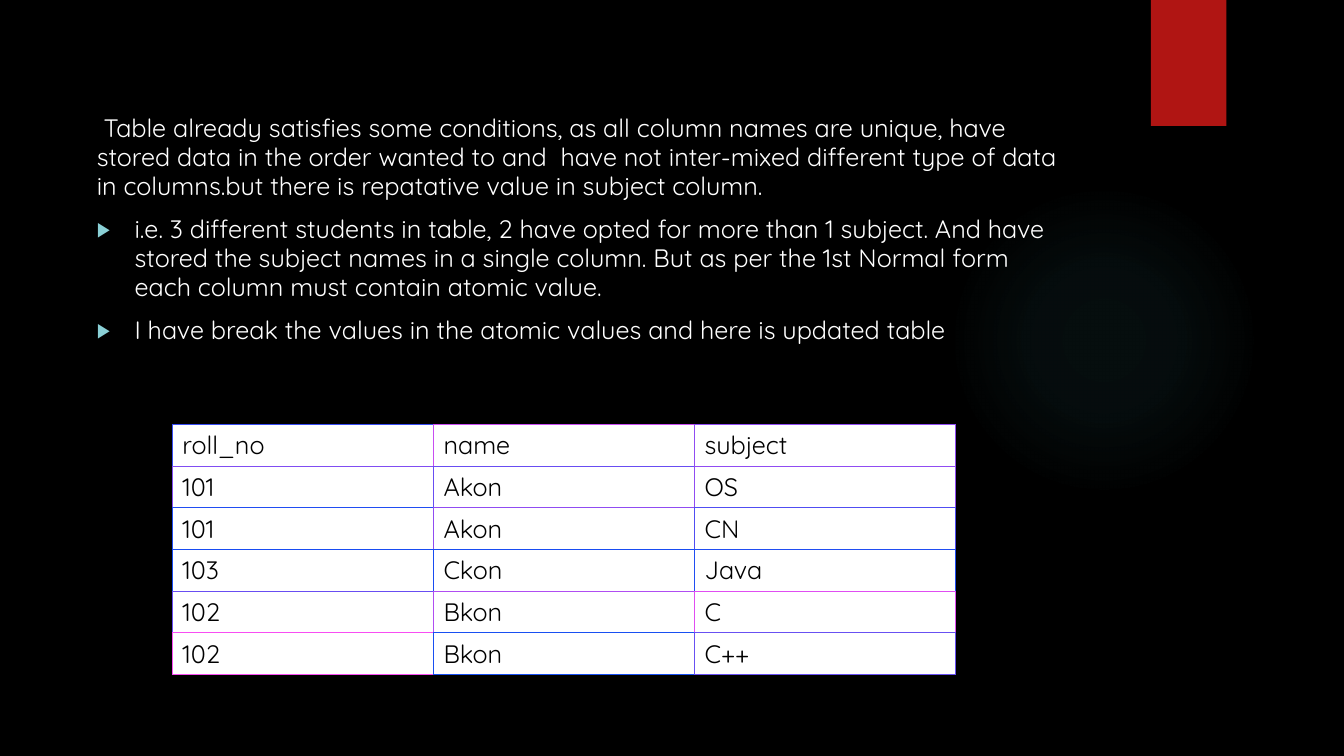
import pptx
import pptx.util
import pptx.dml.color
import pptx.enum.shapes
import pptx.enum.text
import pptx.oxml
import pptx.oxml.ns

Pt = pptx.util.Pt
RGBColor = pptx.dml.color.RGBColor
MSO_SHAPE = pptx.enum.shapes.MSO_SHAPE
NS = pptx.oxml.ns.nsdecls("a")

BLACK = RGBColor(0x00, 0x00, 0x00)
WHITE = RGBColor(0xFF, 0xFF, 0xFF)
RED = RGBColor(0xB0, 0x15, 0x13)
TEAL = RGBColor(0x50, 0xB9, 0xC1)
BULLET = RGBColor(0x8A, 0xD0, 0xD6)

INTRO = (" Table already satisfies some conditions, as all column names are unique, "
         "have stored data in the order wanted to and  have not inter-mixed different "
         "type of data in columns.but there is repatative value in subject column.")
POINTS = [
    "i.e. 3 different students in table, 2 have opted for more than 1 subject. "
    "And have stored the subject names in a single column. But as per the 1st "
    "Normal form each column must contain atomic value.",
    "I have break the values in the atomic values and here is updated table",
]
ROWS = [
    ("roll_no", "name", "subject"),
    ("101", "Akon", "OS"),
    ("101", "Akon", "CN"),
    ("103", "Ckon", "Java"),
    ("102", "Bkon", "C"),
    ("102", "Bkon", "C++"),
]
# Colour of each cell's left and top border
BORDERS = [[RGBColor.from_string(c) for c in row.split()] for row in (
    "384DF2 C84DF2 904CF2",
    "804DF2 684DF2 904CF2",
    "204DF2 904CF2 504DF2",
    "184CF2 184CF2 204DF2",
    "684DF2 B04DF2 E04DF2",
    "F84DF2 184FF2 6850F2",
)]


class Deck:
    """Style and current slide."""
    font = {"name": "Quicksand", "size": Pt(18), "bold": False}

    def __init__(self, s):
        self.s = s
        bg = s.background.fill
        bg.solid()
        bg.fore_color.rgb = BLACK

    def add_text(self, p, text, color):
        r = p.add_run()
        r.text = text
        for name, value in self.font.items():
            setattr(r.font, name, value)
        r.font.color.rgb = color

    def shape(self, kind, x, y, w, h, color):
        sp = self.s.shapes.add_shape(kind, Pt(x), Pt(y), Pt(w), Pt(h))
        sp.shadow.inherit = False
        sp.fill.solid()
        sp.fill.fore_color.rgb = color
        sp.line.fill.background()
        return sp

    def glow(self, x, y, d, color, stops):
        sp = self.shape(MSO_SHAPE.OVAL, x, y, d, d, color)
        gs = "".join(
            f'<a:gs pos="{pos * 1000}"><a:srgbClr val="{color}">'
            f'<a:alpha val="{alpha * 1000}"/></a:srgbClr></a:gs>'
            for pos, alpha in stops)
        grad = pptx.oxml.parse_xml(
            f'<a:gradFill {NS}><a:gsLst>{gs}</a:gsLst><a:path path="circle">'
            '<a:fillToRect l="50000" t="50000" r="50000" b="50000"/>'
            '</a:path></a:gradFill>')
        solid = sp.element.spPr.find(pptx.oxml.ns.qn("a:solidFill"))
        solid.getparent().replace(solid, grad)

    def body(self, x, y, w, h, intro, points):
        sp = self.s.placeholders[1]
        self.s.shapes.element.append(sp.element)  # bring to front
        box = {"left": x, "top": y, "width": w, "height": h}
        for name, value in box.items():
            setattr(sp, name, Pt(value))
        tf = sp.text_frame
        tf.word_wrap = True
        tf.auto_size = pptx.enum.text.MSO_AUTO_SIZE.NONE
        tf.vertical_anchor = pptx.enum.text.MSO_ANCHOR.TOP
        for i, text in enumerate([intro, *points]):
            p = tf.paragraphs[0] if i == 0 else tf.add_paragraph()
            p.space_before = Pt(10)
            p.line_spacing = 0.96
            self.bullet(p, i > 0)
            self.add_text(p, text, WHITE)

    def bullet(self, p, shown):
        pPr = p._p.get_or_add_pPr()
        indent = Pt(27) if shown else 0
        pPr.set("marL", str(int(indent)))
        pPr.set("indent", str(-int(indent)))
        parts = [f'<a:buClr {NS}><a:srgbClr val="{BULLET}"/></a:buClr>',
                 f'<a:buSzPct {NS} val="80000"/>',
                 f'<a:buFont {NS} typeface="Arial"/>',
                 f'<a:buChar {NS} char="▶"/>'] if shown else [f'<a:buNone {NS}/>']
        for xml in parts:
            pPr.append(pptx.oxml.parse_xml(xml))

    def table(self, x, y, col_w, row_h, rows, colors):
        n, m = len(rows), len(rows[0])
        frame = self.s.shapes.add_table(n, m, Pt(x), Pt(y), Pt(col_w * m), Pt(row_h * n))
        tbl = frame.table
        tbl.first_row = tbl.horz_banding = False
        for col in tbl.columns:
            col.width = Pt(col_w)
        for i, row in enumerate(rows):
            tbl.rows[i].height = Pt(row_h)
            for j, text in enumerate(row):
                cell = tbl.cell(i, j)
                own = colors[i][j]
                # Shared edges take the colour of the next cell
                right = colors[i][min(j + 1, m - 1)]
                below = colors[min(i + 1, n - 1)][j]
                self.borders(cell, {"L": own, "R": right, "T": own, "B": below})
                cell.fill.solid()
                cell.fill.fore_color.rgb = WHITE
                self.add_text(cell.text_frame.paragraphs[0], text, BLACK)

    def borders(self, cell, edges):
        tcPr = cell._tc.get_or_add_tcPr()
        for side, color in edges.items():
            tcPr.append(pptx.oxml.parse_xml(
                f'<a:ln{side} {NS} w="{int(Pt(0.75))}"><a:solidFill>'
                f'<a:srgbClr val="{color}"/></a:solidFill></a:ln{side}>'))


def main():
    prs = pptx.Presentation()
    prs.slide_width, prs.slide_height = Pt(960), Pt(540)
    s = prs.slides.add_slide(prs.slide_layouts[1])
    title = s.shapes.title.element
    title.getparent().remove(title)
    deck = Deck(s)

    # Background decoration
    deck.glow(677.5, 131.8, 221.8, TEAL, [(0, 7), (36, 6), (69, 0)])
    deck.shape(MSO_SHAPE.RECTANGLE, 822, 0, 54, 90, RED)

    # Explanation
    deck.body(61.9, 77.8, 704.2, 330.5, INTRO, POINTS)

    # Table in first normal form
    deck.table(123.1, 303.1, 186.5, 28.8, ROWS, BORDERS)

    prs.save("out.pptx")


if __name__ == "__main__":
    main()
